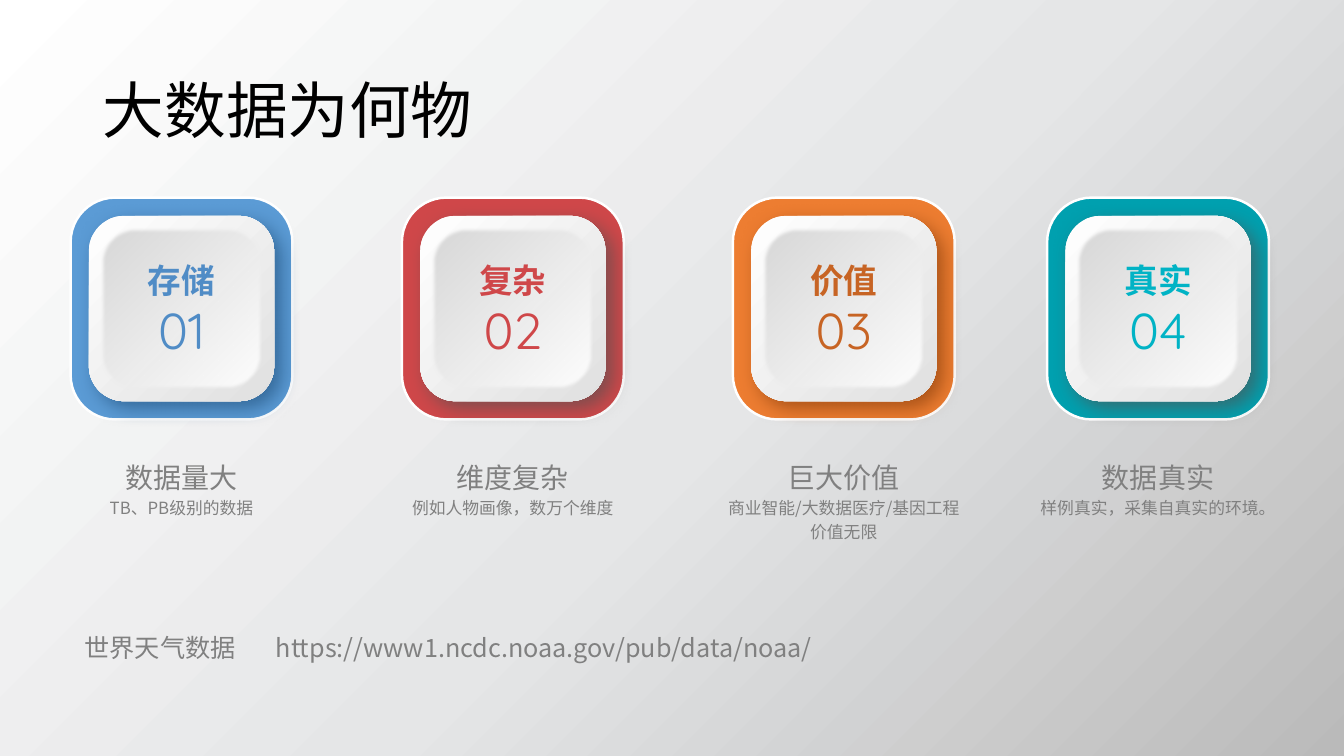
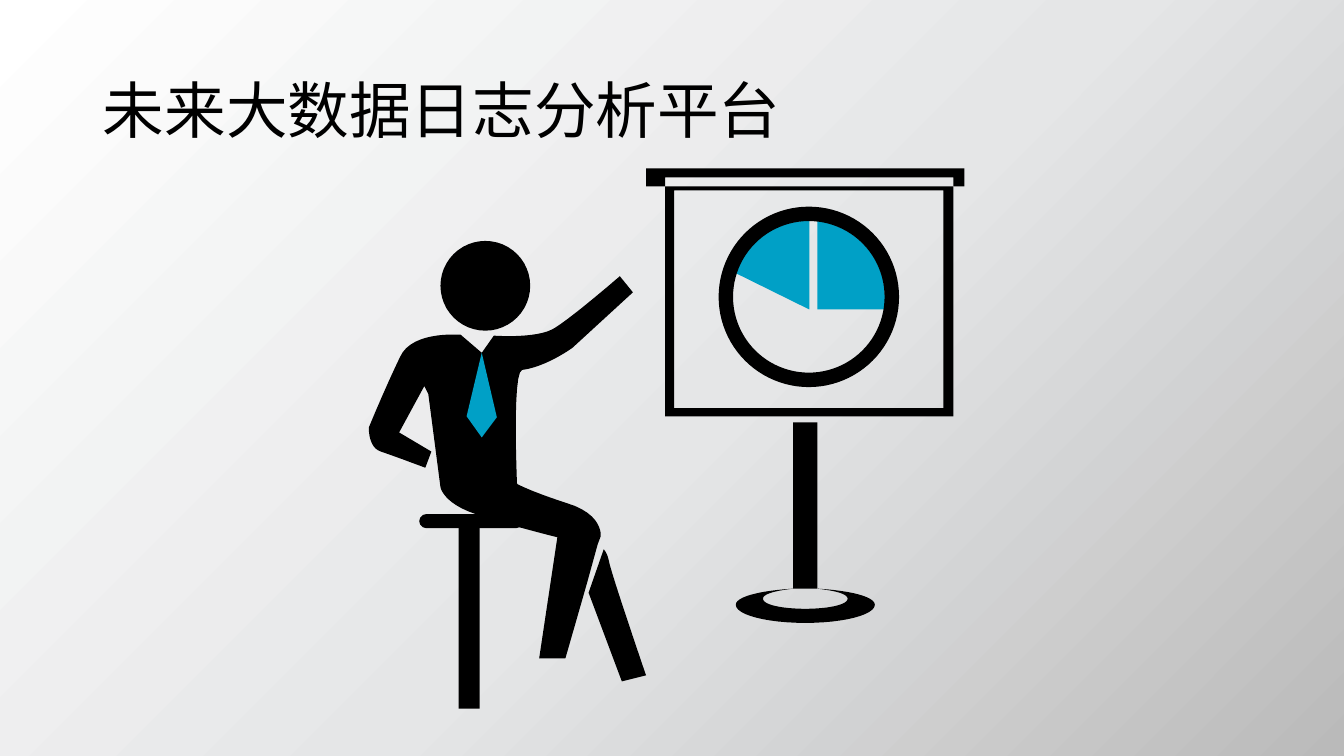
from lxml.etree import SubElement
from pptx import Presentation
from pptx.dml.color import RGBColor
from pptx.enum.shapes import MSO_SHAPE
from pptx.enum.text import MSO_ANCHOR, PP_ALIGN
from pptx.oxml.ns import qn
from pptx.util import Cm, Pt

# Shared style
CJK_FONT = "Noto Sans CJK SC"
BLACK, WHITE, GREY, ACCENT = "000000", "FFFFFF", "808080", "00A0C6"
BACKGROUND = [(0, WHITE), (54, "E5E6E7"), (100, "BABABA")]
RAISED = [(0, WHITE), (100, "E0E0E0")]
SUNKEN = [(0, "D7D7D7"), (100, WHITE)]
TITLE_BOX = (2.34, 1.02, 29.21, 3.68)

# Slide 1: left edge, frame, shadow and text colours, then the words
FEATURES_TITLE = "大数据为何物"
FEATURES = [
    (1.78, "5B9BD5", "1F4E79", "508CC6", "存储", "数据量大", "TB、PB级别的数据"),
    (10.13, "CF4749", "525252", "CF4749", "复杂", "维度复杂", "例如人物画像，数万个维度"),
    (18.47, "ED7D31", "843C0B", "C76424", "价值", "巨大价值",
     "商业智能/大数据医疗/基因工程价值无限"),
    (26.39, "00A0AF", "525252", "01B3C5", "真实", "数据真实", "样例真实，采集自真实的环境。"),
]
SOURCE_NOTE = "世界天气数据\thttps://www1.ncdc.noaa.gov/pub/data/noaa/"
BADGE_TOP, BADGE_SIZE, FACE_SIZE, WELL_SIZE = 4.98, 5.59, 4.67, 4.09

# Slide 2: the drawing is laid out in units of 2.54 cm
PLATFORM_TITLE = "未来大数据日志分析平台"
DRAWING_UNIT = 2.54

# Outlines: a start point, then lines (x, y) or curves (two controls, end)
ROLLER = [(9.57, 1.67), (9.57, 1.85), (9.46, 1.85), (9.46, 1.76),
          (6.6, 1.76), (6.6, 1.85), (6.41, 1.85), (6.41, 1.67)]
SCREEN_EDGE = [(9.46, 1.85), (9.46, 4.13), (6.6, 4.13), (6.6, 1.85)]
SCREEN_OPENING = [(9.36, 4.05), (9.36, 1.89), (6.69, 1.89), (6.69, 4.05)]
RIGHT_SLICE = [(8.78, 2.94), (8.78, 2.99, 8.78, 3.03, 8.78, 3.07), (8.11, 3.07),
               (8.11, 2.19), (8.49, 2.24, 8.78, 2.56, 8.78, 2.94)]
LEFT_SLICE = [(8.03, 2.19), (8.03, 3.07), (7.3, 2.71), (7.41, 2.4, 7.69, 2.19, 8.03, 2.19)]
STAND_FOOT = [
    (7.87, 5.84), (7.7, 5.86, 7.57, 5.89, 7.57, 5.94), (7.57, 6, 7.76, 6.04, 7.99, 6.04),
    (8.22, 6.04, 8.41, 6, 8.41, 5.94), (8.41, 5.89, 8.28, 5.86, 8.11, 5.84),
    (8.44, 5.86, 8.68, 5.92, 8.68, 6), (8.68, 6.1, 8.37, 6.18, 7.99, 6.18),
    (7.61, 6.18, 7.3, 6.1, 7.3, 6), (7.3, 5.92, 7.54, 5.86, 7.87, 5.84)]
FAR_LEG = [(6.41, 6.7), (6.17, 6.76), (5.84, 5.88), (5.99, 5.45),
           (6.01, 5.47, 6.03, 5.51, 6.04, 5.56), (6.06, 5.68, 6.41, 6.7, 6.41, 6.7)]
BODY = [
    (6.15, 2.74), (6.28, 2.9), (5.68, 3.45), (5.68, 3.45, 5.42, 3.64, 5.18, 3.67),
    (5.08, 3.69, 5.13, 4.8, 5.13, 4.8), (5.13, 4.8, 5.25, 4.87, 5.62, 4.99),
    (5.99, 5.1, 5.96, 5.32, 5.96, 5.32), (5.93, 5.4), (5.82, 5.8), (5.61, 6.53),
    (5.35, 6.53), (5.53, 5.33), (5.53, 5.33, 5.37, 5.29, 5.15, 5.23), (4.72, 5.1),
    (4.39, 4.99, 4.37, 4.83, 4.37, 4.83), (4.25, 3.91), (4.21, 3.83), (3.96, 4.29),
    (4.28, 4.48), (4.22, 4.64), (4.22, 4.64, 3.9, 4.52, 3.78, 4.48),
    (3.65, 4.44, 3.66, 4.24, 3.66, 4.24), (3.66, 4.24, 3.82, 3.85, 3.97, 3.54),
    (4.06, 3.34, 4.36, 3.31, 4.57, 3.32), (4.78, 3.5), (4.9, 3.33),
    (5.07, 3.34, 5.38, 3.34, 5.51, 3.25), (5.7, 3.13, 6.15, 2.74, 6.15, 2.74)]
TIE = [(4.78, 3.5), (4.93, 4.14), (4.78, 4.34), (4.63, 4.13)]

OUTLINES = [
    (BLACK, [ROLLER]), (BLACK, [SCREEN_EDGE, SCREEN_OPENING]),
    (ACCENT, [RIGHT_SLICE]), (ACCENT, [LEFT_SLICE]), (BLACK, [STAND_FOOT]),
    (BLACK, [FAR_LEG]), (BLACK, [BODY]), (ACCENT, [TIE]),
]
# Preset parts: shape, box, adjustment
PRESET_PARTS = [
    (MSO_SHAPE.DONUT, (7.13, 2.05, 1.79, 1.79), 0.08),       # chart ring
    (MSO_SHAPE.RECTANGLE, (7.87, 4.19, 0.24, 1.65), None),   # stand post
    (MSO_SHAPE.OVAL, (4.37, 2.39, 0.89, 0.89), None),        # head
    (MSO_SHAPE.ROUNDED_RECTANGLE, (4.16, 5.1, 1.03, 0.14), 0.5),  # seat
    (MSO_SHAPE.RECTANGLE, (4.55, 5.24, 0.21, 1.79), None),   # stool leg
]


def rgb(value):
    return RGBColor.from_string(value)


def paint_gradient(fill, owner, stops):
    fill.gradient()
    fill.gradient_angle = 315
    stop_list = owner.find(".//" + qn("a:gsLst"))
    stop_list.clear()
    for position, colour in stops:
        stop = SubElement(stop_list, qn("a:gs"), pos=str(position * 1000))
        SubElement(stop, qn("a:srgbClr"), val=colour)


def paint_plain(shape, colour):
    shape.shadow.inherit = False
    shape.fill.solid()
    shape.fill.fore_color.rgb = rgb(colour)
    shape.line.fill.background()


def add_preset(slide, kind, box, colour, adjustment=None):
    shape = slide.shapes.add_shape(kind, *map(Cm, box))
    paint_plain(shape, colour)
    if adjustment is not None:
        shape.adjustments[0] = adjustment
    return shape


def add_effect(shape, tag, **attributes):
    effects = shape._element.spPr.find(qn("a:effectLst"))
    return SubElement(effects, qn(tag), **attributes)


def style_paragraph(paragraph, size, colour, font=CJK_FONT, bold=False,
                    align=PP_ALIGN.LEFT, spacing=1.0):
    paragraph.alignment = align
    paragraph.line_spacing = spacing
    paragraph.font.size = Pt(size)
    paragraph.font.bold = bold
    paragraph.font.color.rgb = rgb(colour)
    paragraph.font.name = font
    defaults = paragraph._p.pPr.find(qn("a:defRPr"))
    SubElement(defaults, qn("a:ea"), typeface=CJK_FONT)


def add_text(slide, box, text, size, colour, **style):
    frame = slide.shapes.add_textbox(*map(Cm, box)).text_frame
    frame.word_wrap = True
    paragraph = frame.paragraphs[0]
    paragraph.text = text
    style_paragraph(paragraph, size, colour, **style)
    return paragraph


def add_titled_slide(deck, text):
    slide = deck.slides.add_slide(deck.slide_layouts[5])
    title = slide.shapes.title
    title.left, title.top, title.width, title.height = map(Cm, TITLE_BOX)
    title.text_frame.text = text
    title.text_frame.vertical_anchor = MSO_ANCHOR.MIDDLE
    style_paragraph(title.text_frame.paragraphs[0], 44, BLACK, spacing=0.9)
    return slide


def add_badge(slide, left, frame_colour, shadow_colour):
    def layer(size, colour, rounding):
        inset = (BADGE_SIZE - size) / 2
        box = (left + inset, BADGE_TOP + inset, size, size)
        return add_preset(slide, MSO_SHAPE.ROUNDED_RECTANGLE, box, colour, rounding)

    border = layer(BADGE_SIZE, frame_colour, 0.2)
    border.line.color.rgb = rgb(WHITE)
    border.line.width = Pt(1.75)

    face = layer(FACE_SIZE, WHITE, 0.19)
    paint_gradient(face.fill, face._element, RAISED)
    shadow = add_effect(face, "a:outerShdw", blurRad=str(Pt(14)), dist=str(Pt(7)),
                        dir="2700000", algn="tl", rotWithShape="0")
    tint = SubElement(shadow, qn("a:srgbClr"), val=shadow_colour)
    SubElement(tint, qn("a:alpha"), val="64000")

    well = layer(WELL_SIZE, WHITE, 0.2)
    paint_gradient(well.fill, well._element, SUNKEN)
    add_effect(well, "a:softEdge", rad=str(Pt(2.5)))


def build_features(deck):
    slide = add_titled_slide(deck, FEATURES_TITLE)
    for number, feature in enumerate(FEATURES, start=1):
        left, frame_colour, shadow_colour, ink, word, heading, detail = feature
        add_badge(slide, left, frame_colour, shadow_colour)
        # Text lines centred on the badge: top, width, height, text, size, style
        lines = [
            (7.42, 2.97, 1.8, f"{number:02}", 36, ink, {"font": "Quicksand"}),
            (6.43, 2.72, 1.27, word, 24, ink, {"font": "Arial", "bold": True}),
            (12.32, 6.63, 0.86, detail, 12, GREY, {"spacing": 1.2}),
            (11.48, 5.46, 1.12, heading, 20, GREY, {}),
        ]
        for top, width, height, text, size, colour, style in lines:
            box = (left + (BADGE_SIZE - width) / 2, top, width, height)
            add_text(slide, box, text, size, colour, align=PP_ALIGN.CENTER, **style)

    # Source line, with a tab stop before the address
    note = add_text(slide, (1.88, 15.8, 21.72, 1.02), SOURCE_NOTE, 18, GREY)
    properties = note._p.pPr
    tabs = SubElement(properties, qn("a:tabLst"))
    SubElement(tabs, qn("a:tab"), pos=str(Cm(4.82)), algn="l")
    properties.find(qn("a:defRPr")).addprevious(tabs)


def trace(outline, steps=12):
    """Turn lines and cubic curves into a list of points on the slide."""
    points = [outline[0]]
    for segment in outline[1:]:
        if len(segment) == 2:
            points.append(segment)
            continue
        corners = [points[-1], segment[:2], segment[2:4], segment[4:]]
        for step in range(1, steps + 1):
            t = step / steps
            weights = ((1 - t) ** 3, 3 * t * (1 - t) ** 2, 3 * t * t * (1 - t), t ** 3)
            points.append(tuple(sum(w * corner[axis] for w, corner in zip(weights, corners))
                                for axis in (0, 1)))
    return [(Cm(x * DRAWING_UNIT), Cm(y * DRAWING_UNIT)) for x, y in points]


def add_outline(slide, colour, outlines):
    first, *others = map(trace, outlines)
    builder = slide.shapes.build_freeform(*first[0])
    builder.add_line_segments(first[1:], close=True)
    for points in others:
        builder.move_to(*points[0])
        builder.add_line_segments(points[1:], close=True)
    paint_plain(builder.convert_to_shape(), colour)


def build_platform(deck):
    slide = add_titled_slide(deck, PLATFORM_TITLE)
    for colour, outlines in OUTLINES:
        add_outline(slide, colour, outlines)
    for kind, box, adjustment in PRESET_PARTS:
        add_preset(slide, kind, [v * DRAWING_UNIT for v in box], BLACK, adjustment)


def main():
    deck = Presentation()
    deck.slide_width, deck.slide_height = Cm(33.87), Cm(19.05)
    master = deck.slide_master
    paint_gradient(master.background.fill, master._element, BACKGROUND)
    build_features(deck)
    build_platform(deck)
    deck.save("out.pptx")


if __name__ == "__main__":
    main()
